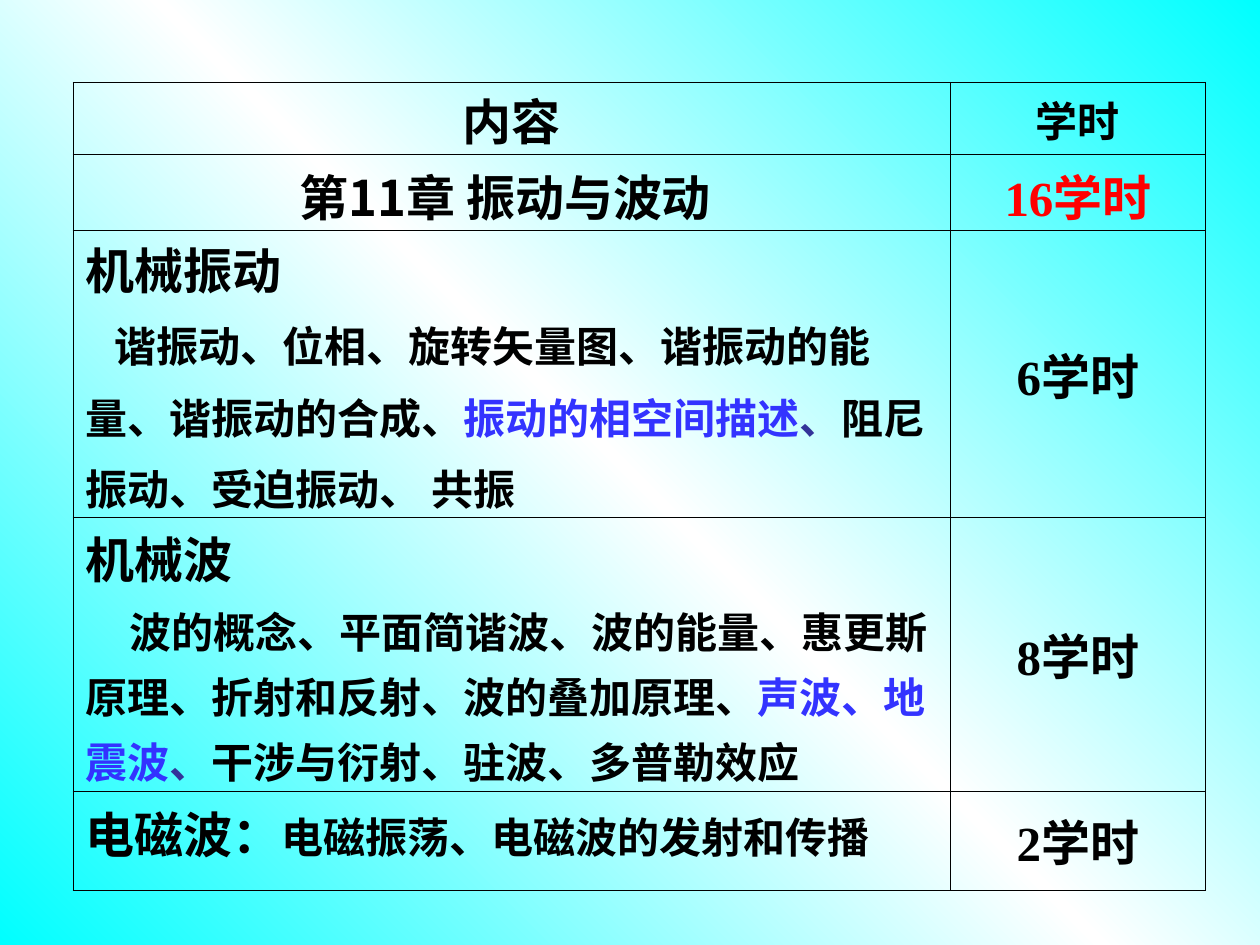
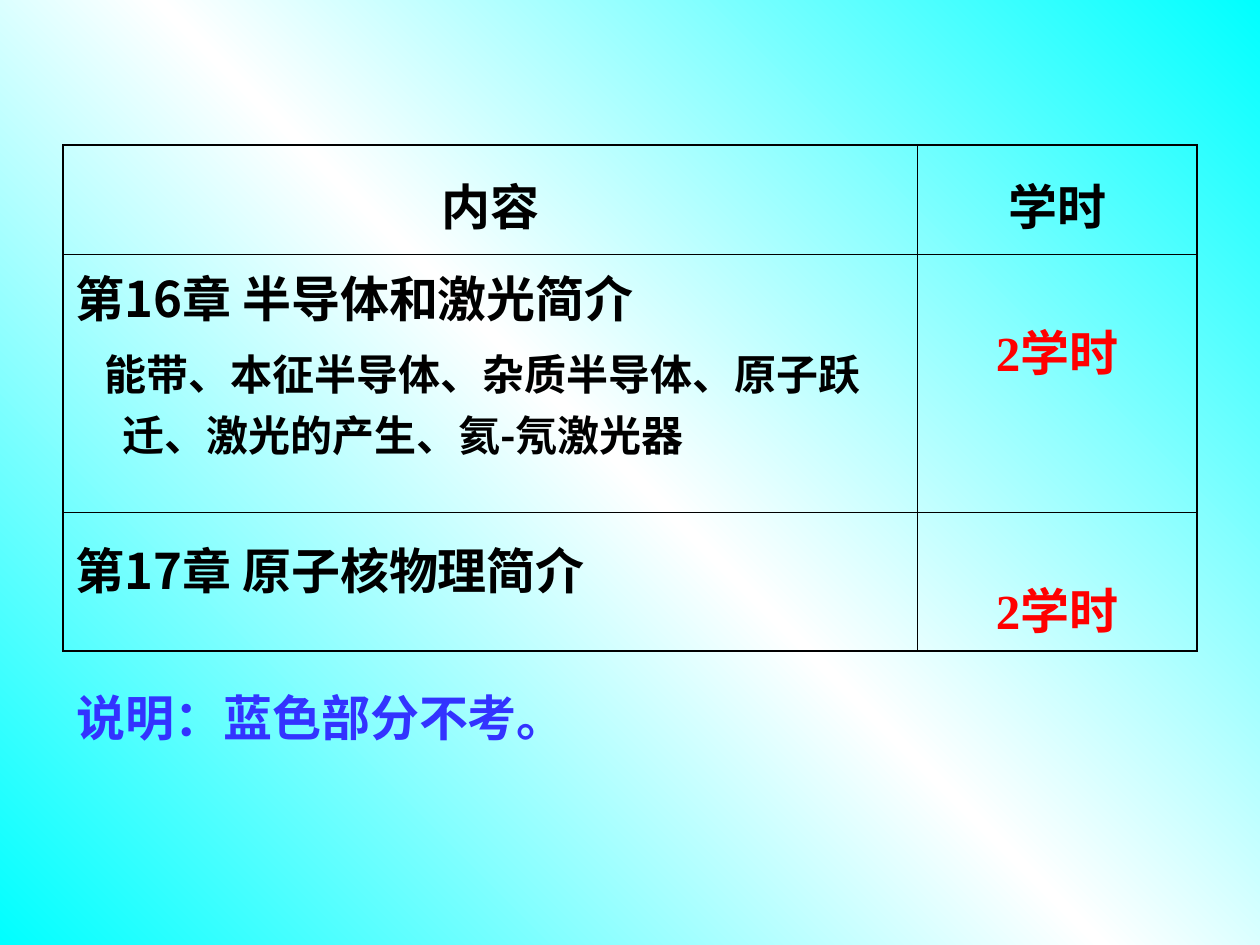
"""Build the two course-hours slides of a physics course."""
from copy import deepcopy
from dataclasses import dataclass

from lxml import etree
from pptx import Presentation
from pptx.dml.color import RGBColor
from pptx.enum.lang import MSO_LANGUAGE_ID
from pptx.enum.text import MSO_ANCHOR, MSO_AUTO_SIZE, PP_ALIGN
from pptx.oxml.ns import qn
from pptx.util import Inches, Pt

CENTER, LEFT = PP_ALIGN.CENTER, PP_ALIGN.LEFT
TOP, MIDDLE = MSO_ANCHOR.TOP, MSO_ANCHOR.MIDDLE
FIT_SHAPE = MSO_AUTO_SIZE.SHAPE_TO_FIT_TEXT
CHINESE = MSO_LANGUAGE_ID.SIMPLIFIED_CHINESE

CYAN = RGBColor(0x00, 0xFF, 0xFF)
WHITE = RGBColor(0xFF, 0xFF, 0xFF)
BLACK = RGBColor(0x00, 0x00, 0x00)
RED = RGBColor(0xFF, 0x00, 0x00)
BLUE = RGBColor(0x33, 0x33, 0xFF)
NAVY = RGBColor(0x33, 0x33, 0x99)

SANS, CHINESE_SANS, SERIF = "Arial", "Noto Sans CJK SC", "Times New Roman"
HEADING, DETAIL = 28, 24
THIN, THICK = Pt(0.45), Pt(1.08)

SLIDE_WIDTH, SLIDE_HEIGHT = Inches(10), Inches(7.5)
COLUMN, ROW = SLIDE_WIDTH / 100, SLIDE_HEIGHT / 100


@dataclass
class Run:
    """A stretch of text in one format."""
    text: str
    size: int = DETAIL
    color: RGBColor = BLACK
    font: str = CHINESE_SANS


@dataclass
class Line:
    """A paragraph with its spacing and indents."""
    runs: list
    align: PP_ALIGN = LEFT
    before: float = 0
    spacing: float = 1.0
    margin: float = 0
    indent: float = 0


@dataclass
class Cell:
    """The paragraphs of one table cell, their anchor and margins."""
    lines: list
    anchor: MSO_ANCHOR = MIDDLE
    top: float = 0.05
    bottom: float = 0.05
    right: float = 0.1


def heading(text, **options):
    """Return a paragraph holding one topic heading."""
    return Line([Run(text, HEADING)], **options)


def centered(text, size=HEADING, color=BLACK, font=SERIF, spacing=1.0, **options):
    """Return a cell with one centred paragraph."""
    return Cell([Line([Run(text, size, color, font)], CENTER, spacing=spacing)], **options)


def write_lines(text_frame, lines):
    """Fill a text frame with formatted paragraphs."""
    for index, line in enumerate(lines):
        paragraph = text_frame.paragraphs[0] if index == 0 else text_frame.add_paragraph()
        paragraph.alignment = line.align
        paragraph.space_before = Pt(line.before)
        paragraph.line_spacing = line.spacing
        properties = paragraph._p.get_or_add_pPr()
        properties.set("marL", str(Inches(line.margin)))
        properties.set("indent", str(Inches(line.indent)))
        for piece in line.runs:
            run = paragraph.add_run()
            run.text = piece.text
            run.font.name = piece.font
            run.font.size = Pt(piece.size)
            run.font.bold = True
            run.font.color.rgb = piece.color
            run.font.language_id = CHINESE


def set_borders(cell, widths):
    """Draw the left, right, top and bottom borders of a cell."""
    properties = cell._tc.get_or_add_tcPr()
    for index, (side, width) in enumerate(zip("LRTB", widths)):
        border = etree.Element(qn(f"a:ln{side}"), w=str(width))
        fill = etree.SubElement(border, qn("a:solidFill"))
        etree.SubElement(fill, qn("a:srgbClr"), val=str(BLACK))
        properties.insert(index, border)


def add_hours_table(slide, box, column_weights, row_weights, rows, frame):
    """Place a table of contents and hours inside the box."""
    left, top, width, height = box
    row_count, column_count = len(rows), len(column_weights)
    table = slide.shapes.add_table(
        row_count, column_count, int(left * COLUMN), int(top * ROW),
        int(width * COLUMN), int(height * ROW)).table
    table.first_row = table.horz_banding = False
    for column, weight in zip(table.columns, column_weights):
        column.width = int(width * COLUMN * weight / sum(column_weights))
    for row, weight in zip(table.rows, row_weights):
        row.height = int(height * ROW * weight / sum(row_weights))
    for row_index, row in enumerate(rows):
        for column_index, content in enumerate(row):
            cell = table.cell(row_index, column_index)
            cell.fill.background()
            cell.vertical_anchor = content.anchor
            cell.margin_left, cell.margin_right = Inches(0.1), Inches(content.right)
            cell.margin_top, cell.margin_bottom = Inches(content.top), Inches(content.bottom)
            write_lines(cell.text_frame, content.lines)
            outer = (column_index == 0, column_index == column_count - 1,
                     row_index == 0, row_index == row_count - 1)
            set_borders(cell, [frame if edge else THIN for edge in outer])


def add_note(slide, box, text):
    """Place a blue note inside the box."""
    left, top, width, height = box
    shape = slide.shapes.add_textbox(int(left * COLUMN), int(top * ROW),
                                     int(width * COLUMN), int(height * ROW))
    shape.text_frame.word_wrap = True
    shape.text_frame.auto_size = FIT_SHAPE
    write_lines(shape.text_frame, [Line([Run(text, HEADING, BLUE, SANS)], before=17.5)])


def set_background(master):
    """Give the master a diagonal cyan and white gradient."""
    fill = master.background.fill
    fill.gradient()
    fill.gradient_angle = 45
    first, second = fill.gradient_stops
    first.color.rgb, first.position = CYAN, 0
    second.color.rgb, second.position = WHITE, 0.5
    stops = master.element.find(".//" + qn("a:gsLst"))
    last = deepcopy(stops[0])
    last.set("pos", "100000")
    stops.append(last)


def build_waves_slide(slide):
    """Show the hours of the chapter on vibrations and waves."""
    vibration = Cell([
        heading("机械振动"),
        Line([Run("谐振动、位相、旋转矢量图、谐振动的能")], before=6, indent=0.23),
        Line([Run("量、谐振动的合成、"), Run("振动的相空间描述", color=BLUE),
              Run("、", color=NAVY), Run("阻尼")], before=6),
        Line([Run("振动、受迫振动、 共振")], before=6),
    ], TOP, top=0.02, bottom=0)
    waves = Cell([
        heading("机械波"),
        Line([Run("波的概念、平面简谐波、波的能量、惠更斯原理、折射和反射、波的叠加原理、"),
              Run("声波、地震波", color=BLUE), Run("、", color=NAVY),
              Run("干涉与衍射、驻波、多普勒效应")], before=2.5, spacing=1.06, indent=0.35),
    ], TOP, top=0.03, bottom=0)
    electromagnetic = Cell([Line([Run("电磁波：", HEADING),
                                  Run("电磁振荡、电磁波的发射和传播")])], TOP)
    header_margins = {"top": 0.01, "bottom": 0}
    chapter_margins = {"top": 0.04, "bottom": 0}
    rows = [
        (centered("内容", font=SANS, **header_margins),
         centered("学时", DETAIL, **header_margins)),
        (centered("第11章 振动与波动", font=CHINESE_SANS, right=0.2, **chapter_margins),
         centered("16学时", color=RED, **chapter_margins)),
        (vibration, centered("6学时")),
        (waves, centered("8学时")),
        (electromagnetic, centered("2学时")),
    ]
    add_hours_table(slide, (5.8, 8.7, 89.9, 85.4), (6.96, 2.03),
                    (0.57, 0.6, 2.28, 2.17, 0.79), rows, THIN)


def build_modern_physics_slide(slide):
    """Show the hours of the last chapters and the exam note."""
    semiconductors = Cell([
        heading("第16章 半导体和激光简介", margin=0.37, indent=-0.37),
        Line([Run("能带、本征半导体、杂质半导体、原子跃迁、激光的产生、氦-氖激光器")],
             before=6, margin=0.37, indent=-0.14),
    ], TOP, right=0.2)
    nuclei = Cell([heading("第17章 原子核物理简介", spacing=1.2)], TOP)
    hours = centered("2学时", color=RED, anchor=TOP, top=0.48)
    rows = [
        [centered(title, font=SANS, spacing=1.25, anchor=TOP) for title in ("内容", "学时")],
        (semiconductors, hours),
        (nuclei, hours),
    ]
    add_hours_table(slide, (5, 15.33, 90, 53.6), (6.78, 2.22),
                    (0.87, 2.05, 1.1), rows, THICK)
    add_note(slide, (5.1, 72.1, 90.6, 7.6), "说明：蓝色部分不考。")


def main():
    """Build and save the presentation."""
    presentation = Presentation()
    presentation.slide_width, presentation.slide_height = SLIDE_WIDTH, SLIDE_HEIGHT
    set_background(presentation.slide_master)
    blank_layout = presentation.slide_layouts[6]
    for build in (build_waves_slide, build_modern_physics_slide):
        build(presentation.slides.add_slide(blank_layout))
    presentation.save("out.pptx")


if __name__ == "__main__":
    main()
